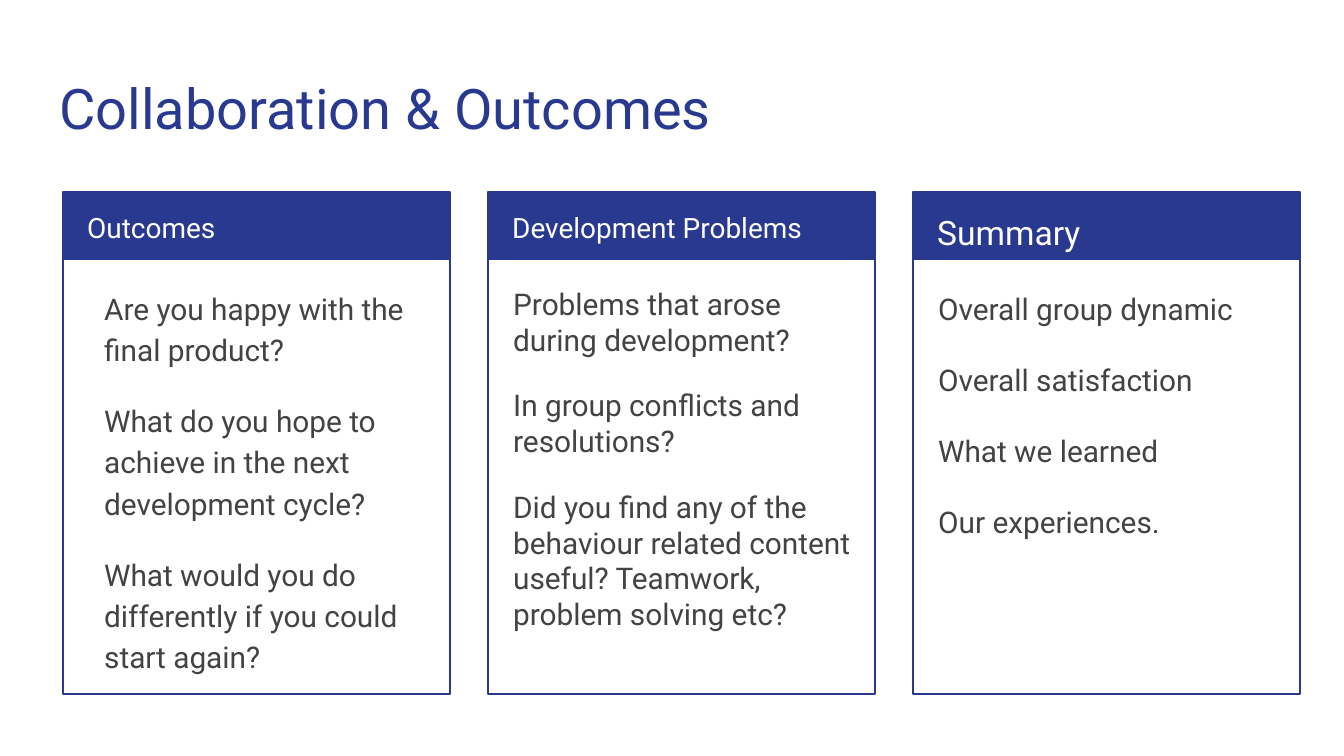
from pptx import Presentation
from pptx.dml.color import RGBColor
from pptx.enum.shapes import MSO_SHAPE
from pptx.enum.text import MSO_ANCHOR, MSO_AUTO_SIZE, PP_ALIGN
from pptx.util import Pt

PX = 914400 / 134.4
FONT, BLUE, WHITE, GREY = "Roboto", "2A3990", "FFFFFF", "434343"

TITLE = "Collaboration & Outcomes"
CARDS = [
    dict(head="Outcomes", size=15, lead=1.15, indent=16, lines=[
        "Are you happy with the final product?",
        "What do you hope to achieve in the next development cycle?",
        "What would you do differently if you could start again?"]),
    dict(head="Development Problems", size=15, lead=1.0, indent=0, lines=[
        "Problems that arose during development?",
        "In group conflicts and resolutions?",
        "Did you find any of the behaviour related content useful? "
        "Teamwork, problem solving etc?"]),
    dict(head="Summary", size=18, lead=1.15, indent=0, lines=[
        "Overall group dynamic", "Overall satisfaction",
        "What we learned", "Our experiences."]),
]
LEFT, TOP, STEP = 63, 192, 425
WIDE, HIGH, BAR = 387, 502, 68


def px(*vals):
    return [round(v * PX) for v in vals]


def color(code):
    return RGBColor.from_string(code)


def write(shape, lines, size, tint, lead=1.0, indent=0, gap=0):
    frame = shape.text_frame
    frame.word_wrap = True
    frame.auto_size = MSO_AUTO_SIZE.NONE
    frame.vertical_anchor = MSO_ANCHOR.TOP
    inset = Pt(7.2)
    frame.margin_left = frame.margin_right = inset
    frame.margin_top = frame.margin_bottom = inset
    frame.text = "\n".join(lines)
    for para in frame.paragraphs:
        para.alignment = PP_ALIGN.LEFT
        para.line_spacing = lead
        para.space_before, para.space_after = Pt(0), Pt(gap)
        para.font.name, para.font.size = FONT, Pt(size)
        para.font.color.rgb = color(tint)
        if indent:
            para._p.get_or_add_pPr().set("marL", str(px(indent)[0]))


def rect(slide, box, fill=None, line=None):
    shape = slide.shapes.add_shape(MSO_SHAPE.RECTANGLE, *px(*box))
    shape.shadow.inherit = False
    if fill:
        shape.fill.solid()
        shape.fill.fore_color.rgb = color(fill)
    else:
        shape.fill.background()
    if line:
        shape.line.color.rgb = color(line)
        shape.line.width = Pt(0.75)
    else:
        shape.line.fill.background()


def main():
    deck = Presentation()
    deck.slide_width, deck.slide_height = px(1344, 756)
    slide = deck.slides.add_slide(deck.slide_layouts[5])

    title = slide.shapes.title
    title.left, title.top, title.width, title.height = px(46, 60, 1252, 89)
    write(title, [TITLE], 30, BLUE)

    for col, card in enumerate(CARDS):
        x = LEFT + col * STEP
        rect(slide, (x, TOP, WIDE, BAR), fill=BLUE)
        rect(slide, (x, TOP, WIDE, HIGH), line=BLUE)
        head = slide.shapes.add_textbox(*px(x + 11, TOP, 367, BAR))
        write(head, [card["head"]], card["size"], WHITE, 1.15)
        body = slide.shapes.add_textbox(*px(x + 12, TOP + 80, 364, 411))
        write(body, card["lines"], 16, GREY, card["lead"], card["indent"], 16)

    deck.save("out.pptx")


if __name__ == "__main__":
    main()
